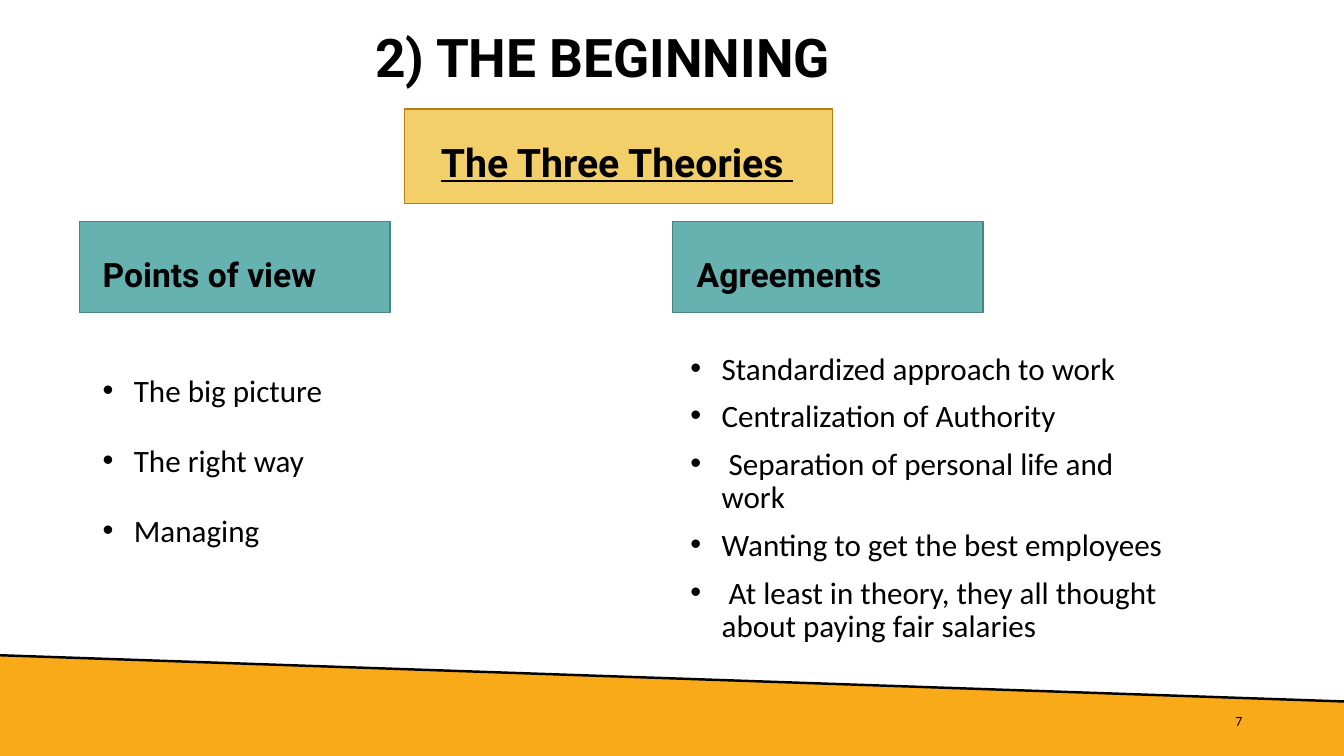
"""Builds the slide on the three theories: points of view and agreements."""
from lxml import etree
from pptx import Presentation
from pptx.dml.color import RGBColor
from pptx.enum.shapes import MSO_CONNECTOR, MSO_SHAPE
from pptx.enum.text import MSO_ANCHOR, PP_ALIGN
from pptx.oxml.ns import qn
from pptx.util import Inches, Pt

RECTANGLE = MSO_SHAPE.RECTANGLE
STRAIGHT = MSO_CONNECTOR.STRAIGHT
TOP, MIDDLE = MSO_ANCHOR.TOP, MSO_ANCHOR.MIDDLE
LEFT, CENTER, RIGHT = PP_ALIGN.LEFT, PP_ALIGN.CENTER, PP_ALIGN.RIGHT

COLORS = {
    "text": "000000",
    "footer": "F9AA19",
    "yellow": "F3CF69",
    "yellow_edge": "B87E12",
    "teal": "66B2B0",
    "teal_edge": "4B8482",
}


def color(name):
    return RGBColor.from_string(COLORS[name])


def add_text(box, paragraphs, font, anchor=TOP, align=LEFT, spacing=None, before=0, bullets=False):
    """Adds a text box; each paragraph is a list of (text, size, bold, underline) runs."""
    frame = slide.shapes.add_textbox(*map(Inches, box)).text_frame
    frame.word_wrap = True
    frame.vertical_anchor = anchor
    for index, runs in enumerate(paragraphs):
        paragraph = frame.add_paragraph() if index else frame.paragraphs[0]
        paragraph.alignment = align
        paragraph.line_spacing = spacing
        paragraph.space_before = Pt(before)
        if bullets:
            properties = paragraph._p.get_or_add_pPr()
            properties.set("marL", str(Inches(0.31)))
            properties.set("indent", str(Inches(-0.31)))
            etree.SubElement(properties, qn("a:buFont")).set("typeface", "Arial")
            etree.SubElement(properties, qn("a:buChar")).set("char", "•")
        for text, size, bold, underline in runs:
            run = paragraph.add_run()
            run.text = text
            run.font.name = font
            run.font.size = Pt(size)
            run.font.bold = bold
            run.font.underline = underline
            run.font.color.rgb = color("text")


prs = Presentation()
prs.slide_width, prs.slide_height = Inches(13.33), Inches(7.5)
slide = prs.slides.add_slide(prs.slide_layouts[6])

outline = slide.shapes.build_freeform(Inches(13.35), Inches(6.96))
outline.add_line_segments(
    [(Inches(x), Inches(y)) for x, y in [(-0.01, 6.5), (-0.01, 7.5), (13.35, 7.53)]], close=True)
footer = outline.convert_to_shape()
footer.shadow.inherit = False
footer.fill.solid()
footer.fill.fore_color.rgb = color("footer")
footer.line.fill.background()

footer_edge = slide.shapes.add_connector(
    STRAIGHT, Inches(-0.01), Inches(6.5), Inches(13.35), Inches(6.96))
footer_edge.line.color.rgb = color("text")
footer_edge.line.width = Pt(1.75)
etree.SubElement(footer_edge._element.spPr, qn("a:effectLst"))

for box, tone in [
    ((4.01, 1.08, 4.25, 0.94), "yellow"),
    ((6.67, 2.2, 3.08, 0.9), "teal"),
    ((0.79, 2.2, 3.08, 0.9), "teal"),
]:
    panel = slide.shapes.add_shape(RECTANGLE, *map(Inches, box))
    panel.shadow.inherit = False
    panel.fill.solid()
    panel.fill.fore_color.rgb = color(tone)
    panel.line.color.rgb = color(tone + "_edge")
    panel.line.width = Pt(1)

add_text((1.96, 0.15, 8.17, 0.9), [[("2) THE BEGINNING ", 38, True, False)]],
         "Roboto", MIDDLE, CENTER, 0.9)
add_text((3.87, 1.32, 4.5, 0.57), [[("The Three Theories ", 28, True, True)]],
         "Roboto", align=CENTER)

points_of_view = ["The big picture", "The right way", "Managing"]
agreements = [
    "Standardized approach to work",
    "Centralization of Authority",
    " Separation of personal life and work",
    "Wanting to get the best employees",
    " At least in theory, they all thought about paying fair salaries",
]
columns = [
    (0.92, 4.5, [("Points of view", 24, True, False)], points_of_view, 1.5),
    (6.75, 4.9, [(" ", 18, False, False), ("Agreements", 24, True, False)], agreements, Pt(24)),
]
for left, width, heading, items, spacing in columns:
    add_text((left, 2.29, 4.5, 0.9), [heading], "Roboto", MIDDLE, spacing=0.9, before=10)
    add_text((left, 3.45, width, 3.37), [[(item, 22.2, False, False)] for item in items],
             "Calibri", spacing=spacing, before=10, bullets=True)

add_text((9.42, 6.95, 3, 0.4), [[("7", 10, False, False)]], "Calibri", MIDDLE, RIGHT)

prs.save("out.pptx")
